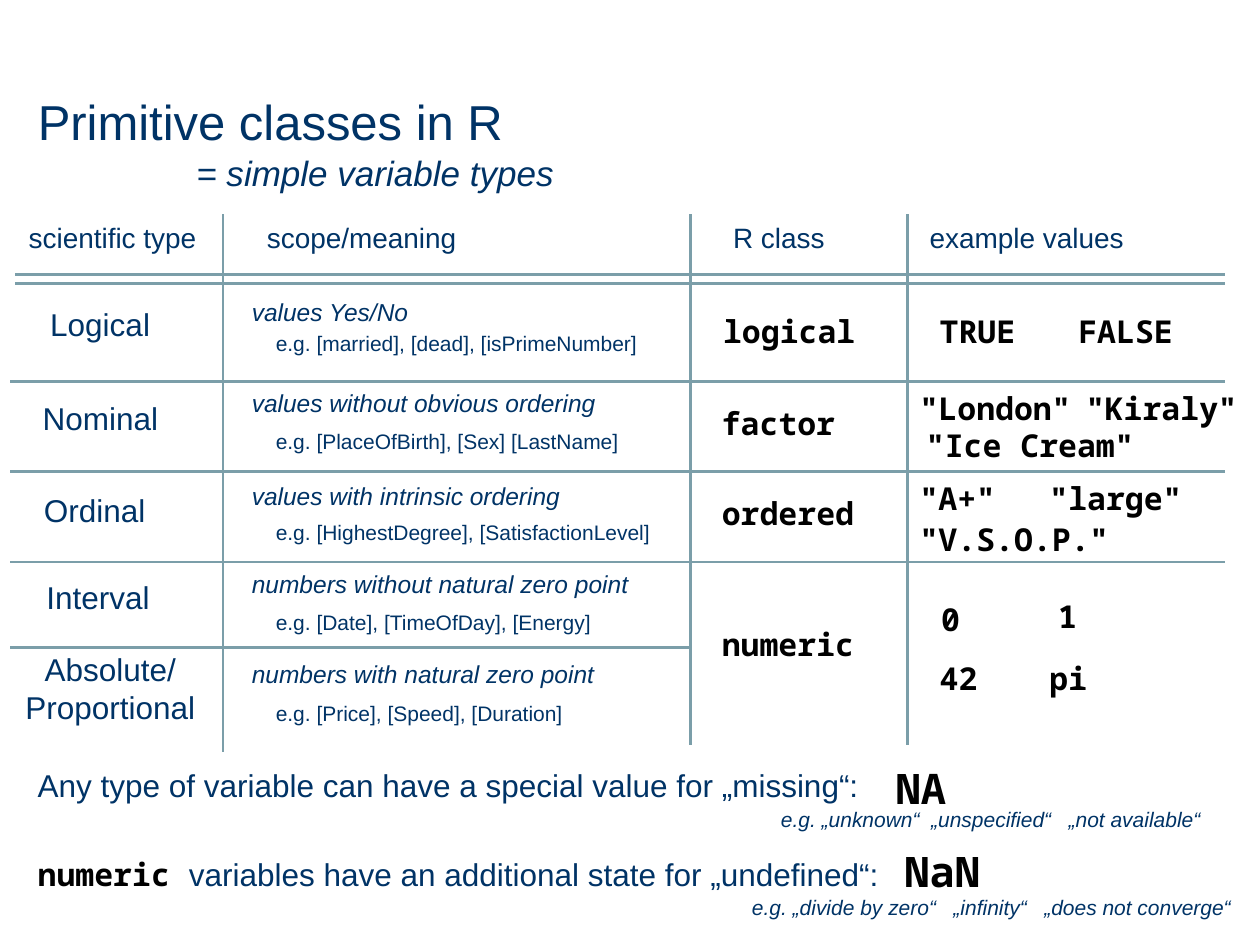
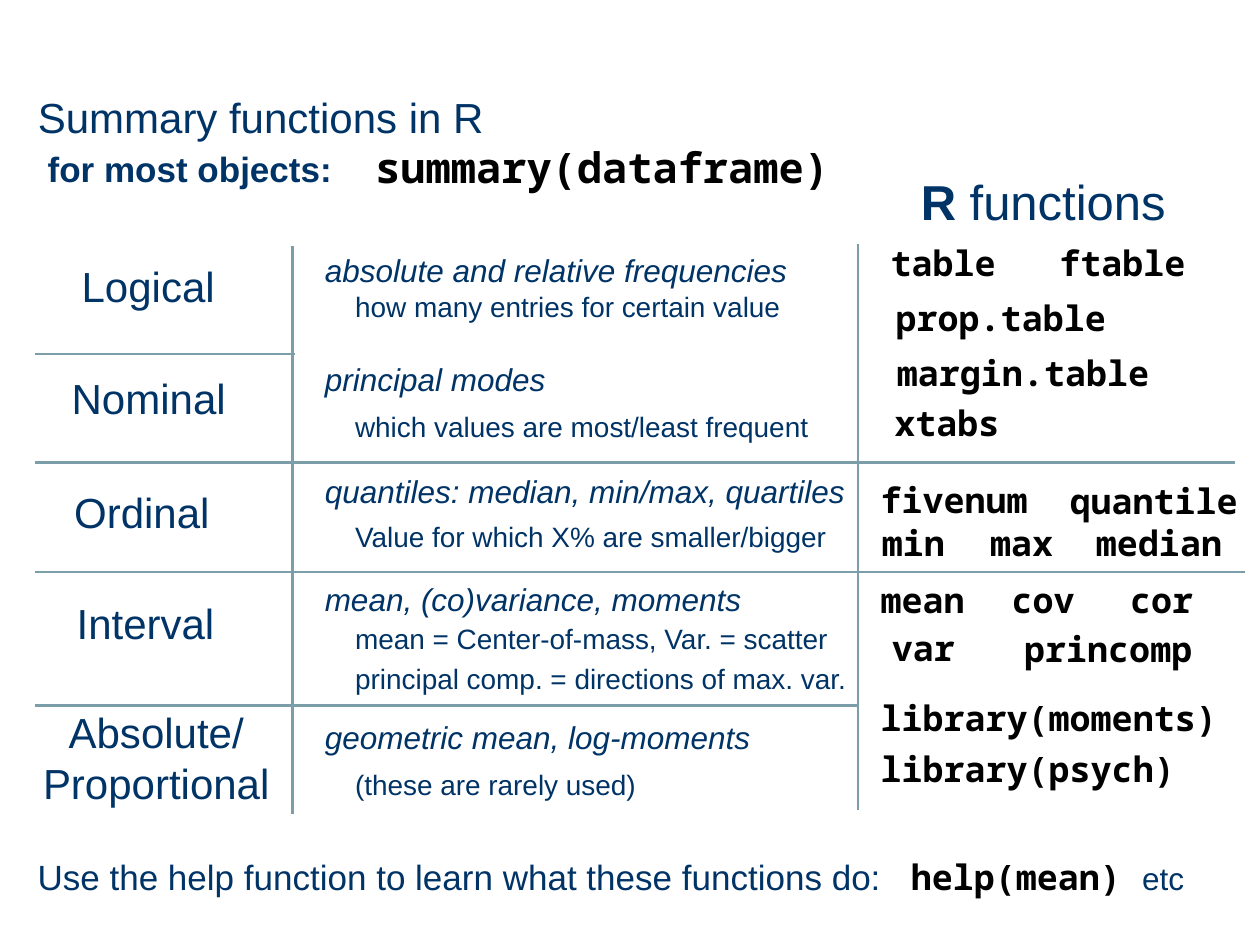
import pptx
import pptx.dml.color
import pptx.enum.shapes
import pptx.enum.text
import pptx.oxml
import pptx.util
from pptx.util import Inches

COLOURS = {"navy": "003366", "code": "000000", "rule": "7B9EA9"}
SANS, MONO = "Arial", "Noto Sans Mono"
TITLE_BOX = (0.2, 0.68, 9.52, 0.55)


def plain(size, **extra):
    return {"size": size, "font": SANS, "colour": "navy", **extra}


def code(size):
    return {"size": size, "font": MONO, "colour": "code", "bold": True}


# Per variable type: label, label left, top and width, then (text, top) pairs
CLASSES = {
    "title": ("Primitive classes in R", 28),
    "sizes": {"label": 18, "scope": 14, "detail": 12},
    "columns": {"scope": (1.9, 3.7), "detail": (2.09, 3.58)},
    "heights": {"label": 0.46, "scope": 0.32, "detail": 0.32},
    "rows": [
        ("Logical", 0.3, 2.37, 1.21, [("values Yes/No", 2.31)],
         [("e.g. [married], [dead], [isPrimeNumber]", 2.57)]),
        ("Nominal", 0.24, 3.12, 1.53, [("values without obvious ordering", 3.03)],
         [("e.g. [PlaceOfBirth], [Sex] [LastName]", 3.35)]),
        ("Ordinal", 0.25, 3.85, 1.53, [("values with intrinsic ordering", 3.77)],
         [("e.g. [HighestDegree], [SatisfactionLevel]", 4.07)]),
        ("Interval", 0.27, 4.54, 1.53, [("numbers without natural zero point", 4.47)],
         [("e.g. [Date], [TimeOfDay], [Energy]", 4.79)]),
        ("Absolute/\nProportional", -0.12, 5.11, 1.99,
         [("numbers with natural zero point", 5.18)],
         [("e.g. [Price], [Speed], [Duration]", 5.51)]),
    ],
    "code_format": (18, 0.46),
    "code": [
        ("logical", 5.64, 2.43, 2.15), ("factor", 5.63, 3.16, 1.37),
        ("ordered", 5.63, 3.87, 2.15), ("numeric", 5.63, 4.91, 2.15),
        ("TRUE", 7.36, 2.43, 0.96), ("FALSE", 8.46, 2.43, 1.09),
        ('"London"', 7.2, 3.04, 2), ('"Kiraly"', 8.52, 3.04, 1.44),
        ('"Ice Cream"', 7.25, 3.33, 2),
        ('"A+"', 7.2, 3.75, 0.87), ('"large"', 8.23, 3.75, 1.49),
        ('"V.S.O.P."', 7.2, 4.08, 2.8),
        ("0", 7.37, 4.71, 0.41), ("1", 8.3, 4.69, 0.41),
        ("42", 7.36, 5.18, 0.71), ("pi", 8.23, 5.18, 0.61),
    ],
    "notes": [
        ([("= simple variable types", plain(20, italic=True))], 1.46, 1.15, 3.22, 0.55),
        ([("scientific type", plain(16))], 0.13, 1.7, 1.57, 0.4),
        ([("scope/meaning", plain(16))], 2.02, 1.7, 2.83, 0.4),
        ([("R class", plain(16))], 5.72, 1.7, 1.3, 0.4),
        ([("example values", plain(16))], 7.28, 1.7, 2.08, 0.4),
        ([("Any type of variable can have a special value for „missing“:", plain(18))],
         0.2, 6.03, 7.65, 0.55),
        ([("NA", code(24))], 7.01, 6, 0.84, 0.67),
        ([("e.g. „unknown“  „unspecified“   „not available“", plain(12, italic=True))],
         6.1, 6.35, 3.87, 0.4),
        ([("numeric ", code(18)),
          ("variables have an additional state for „undefined“:", plain(18))],
         0.2, 6.74, 7.01, 0.55),
        ([("NaN", code(24))], 7.08, 6.66, 0.9, 0.67),
        ([("e.g. „divide by zero“   „infinity“   „does not converge“",
           plain(12, italic=True))], 5.87, 7.05, 4.1, 0.4),
    ],
    "across": [(2.18, 0.12, 9.72), (2.25, 0.12, 9.72), (3.03, 0.08, 9.72),
               (3.74, 0.08, 9.72), (4.46, 0.08, 9.72), (5.14, 0.08, 5.48)],
    "down": [(1.77, 1.7, 5.97), (5.48, 1.7, 5.91), (7.2, 1.7, 5.91)],
}

SUMMARIES = {
    "title": ("Summary functions in R", 24),
    "sizes": {"label": 24, "scope": 18, "detail": 16},
    "columns": {"scope": (2.48, 4.4), "detail": (2.72, 4.33)},
    "heights": {"label": 0.55, "scope": 0.38, "detail": 0.38},
    "rows": [
        ("Logical", 0.55, 2.02, 1.46, [("absolute and relative frequencies", 1.94)],
         [("how many entries for certain value", 2.25)]),
        ("Nominal", 0.47, 2.91, 1.85, [("principal modes", 2.81)],
         [("which values are most/least frequent", 3.2)]),
        ("Ordinal", 0.49, 3.81, 1.85, [("quantiles: median, min/max, quartiles", 3.7)],
         [("Value for which X% are smaller/bigger", 4.07)]),
        ("Interval", 0.51, 4.69, 1.85, [("mean, (co)variance, moments", 4.55)],
         [("mean = Center-of-mass, Var. = scatter", 4.88),
          ("principal comp. = directions of max. var.", 5.2)]),
        ("Absolute/\nProportional", 0.04, 5.56, 2.4,
         [("geometric mean, log-moments", 5.65)],
         [("(these are rarely used)", 6.04)]),
    ],
    "code_format": (20, 0.55),
    "code": [
        ("table", 6.97, 1.87, 1.34), ("ftable", 8.31, 1.87, 1.34),
        ("prop.table", 7.01, 2.3, 2.01), ("margin.table", 7.02, 2.74, 2.36),
        ("xtabs", 7, 3.14, 2.36),
        ("fivenum", 6.89, 3.75, 1.46), ("quantile", 8.39, 3.76, 1.66),
        ("min", 6.9, 4.09, 0.81), ("max", 7.76, 4.09, 0.81),
        ("median", 8.6, 4.09, 1.46),
        ("mean", 6.89, 4.54, 1.09), ("cov", 7.93, 4.54, 0.85),
        ("cor", 8.87, 4.54, 0.85),
        ("var", 6.98, 4.92, 1.09), ("princomp", 8.03, 4.93, 1.85),
        ("library(moments)", 6.89, 5.48, 2.99), ("library(psych)", 6.89, 5.88, 2.99),
    ],
    "notes": [
        ([("for most objects:", plain(20, bold=True))], 0.28, 1.12, 2.68, 0.38),
        ([("summary(dataframe)", code(24))], 2.88, 1.07, 4.11, 0.55),
        ([("R ", plain(28, bold=True)), ("functions", plain(28))],
         7.21, 1.31, 2.43, 0.55),
        ([("Use the help function to learn what these functions do:", plain(20))],
         0.2, 6.74, 6.91, 0.55),
        ([("help(mean) ", code(20)), ("etc", plain(18))], 7.13, 6.74, 2.59, 0.55),
    ],
    "across": [(2.81, 0.28, 2.34), (3.67, 0.28, 9.8), (4.54, 0.28, 9.88),
               (5.6, 0.28, 6.81)],
    "down": [(2.32, 1.95, 6.46), (6.81, 1.94, 6.43)],
}


def rgb(name):
    return pptx.dml.color.RGBColor.from_string(COLOURS[name])


def add_span(para, text, size, font, colour, bold=False, italic=False):
    for index, line in enumerate(text.split("\n")):
        if index:
            para.add_line_break()
        span = para.add_run()
        span.text = line
        span.font.size = pptx.util.Pt(size)
        span.font.name = font
        span.font.bold = bold
        span.font.italic = italic
        span.font.color.rgb = rgb(colour)


def fill_box(box, spans, centred=False):
    """Write formatted spans as the one paragraph of a top-anchored box."""
    frame = box.text_frame
    frame.word_wrap = True
    frame.auto_size = pptx.enum.text.MSO_AUTO_SIZE.NONE
    frame.vertical_anchor = pptx.enum.text.MSO_ANCHOR.TOP
    para = frame.paragraphs[0]
    align = pptx.enum.text.PP_ALIGN
    para.alignment = align.CENTER if centred else align.LEFT
    para.space_before = pptx.util.Pt(spans[0][1]["size"] * 0.1)
    for text, style in spans:
        add_span(para, text, **style)


def add_text(page, spans, left, top, width, height, centred=False):
    box = page.shapes.add_textbox(*map(Inches, (left, top, width, height)))
    fill_box(box, spans, centred)


def add_rule(page, *ends):
    line = page.shapes.add_connector(
        pptx.enum.shapes.MSO_CONNECTOR.STRAIGHT, *map(Inches, ends))
    line.line.color.rgb = rgb("rule")
    line.line.width = pptx.util.Pt(1.5)
    line._element.spPr.append(pptx.oxml.parse_xml(
        '<a:effectLst xmlns:a="http://schemas.openxmlformats.org/drawingml/2006/main"/>'))


def add_page(deck, content):
    page = deck.slides.add_slide(deck.slide_layouts[5])
    title = page.shapes.title
    title.left, title.top, title.width, title.height = map(Inches, TITLE_BOX)
    text, size = content["title"]
    fill_box(title, [(text, plain(size))])

    for top, start, end in content["across"]:
        add_rule(page, start, top, end, top)
    for left, start, end in content["down"]:
        add_rule(page, left, start, left, end)

    sizes, heights = content["sizes"], content["heights"]
    for label, left, top, width, scopes, details in content["rows"]:
        add_text(page, [(label, plain(sizes["label"]))], left, top, width,
                 heights["label"], centred="\n" in label)
        for column, lines in (("scope", scopes), ("detail", details)):
            style = plain(sizes[column], italic=column == "scope")
            column_left, column_width = content["columns"][column]
            for text, line_top in lines:
                add_text(page, [(text, style)], column_left, line_top,
                         column_width, heights[column])

    size, height = content["code_format"]
    for text, left, top, width in content["code"]:
        add_text(page, [(text, code(size))], left, top, width, height)
    for spans, *place in content["notes"]:
        add_text(page, spans, *place)


def main():
    deck = pptx.Presentation()
    deck.slide_width, deck.slide_height = Inches(10), Inches(7.5)
    for content in (CLASSES, SUMMARIES):
        add_page(deck, content)
    deck.save("out.pptx")


if __name__ == "__main__":
    main()
